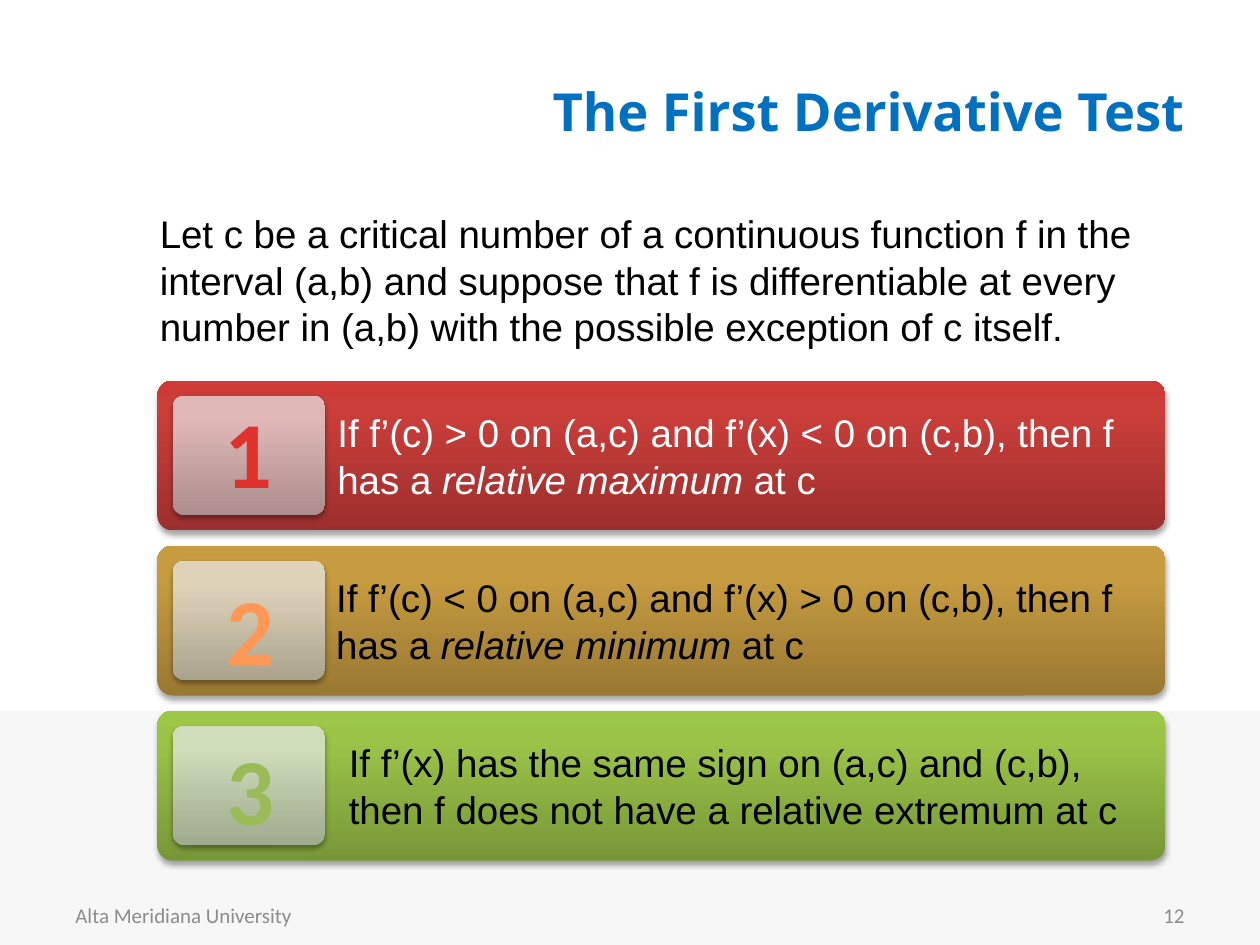
from lxml.etree import SubElement
from pptx import Presentation
from pptx.dml.color import RGBColor
from pptx.enum.shapes import MSO_SHAPE
from pptx.enum.text import MSO_ANCHOR, PP_ALIGN
from pptx.oxml.ns import qn
from pptx.util import Inches, Pt

COLORS = {
    "band": "F7F7F7", "foot": "8C8C8C", "title": "0070C0",
    "black": "000000", "white": "FFFFFF",
    "red": "E0322D", "orange": "FF9856", "green": "9BBB59",
}
# Gradient stops from bottom to top: bar, then badge
FADES = {
    "red": (("9C2F2D", "CB3E3A", "CE3B37"), ("AC8D8D", "E0B7B7", "E1B7B7")),
    "orange": (("997832", "C79C41", "CA9D3F"), ("ABA38E", "DED3B9", "E0D4B9")),
    "green": (("779737", "9BC348", "9DC746"), ("A0AA8F", "CFDDBA", "D0DFBA")),
}
STOPS = (0, 80, 100)
TOP, STEP, HIGH, PAD = 3.02, 1.31, 1.19, 0.12

# Hue, text color, text left, text width, digit left, digit top, text runs
CASES = [
    ("red", "white", 2.58, 6.5, 1.68, 3.08,
     ["If f’(c) > 0 on (a,c) and f’(x) < 0 on (c,b), then f has a ",
      "relative maximum ", "at c"]),
    ("orange", "black", 2.57, 6.5, 1.69, 4.48,
     ["If f’(c) < 0 on (a,c) and f’(x) > 0 on (c,b), then f has a ",
      "relative minimum ", "at c"]),
    ("green", "black", 2.67, 6.58, 1.69, 5.75,
     ["If f’(x) has the same sign on (a,c) and (c,b), "
      "then f does not have a relative extremum at c"]),
]


def add_text(slide, box, runs, size, color, font="Arial", bold=False,
             align=PP_ALIGN.LEFT, anchor=MSO_ANCHOR.TOP, wrap=True):
    """Add one paragraph; every second run is italic."""
    frame = slide.shapes.add_textbox(*map(Inches, box)).text_frame
    frame.word_wrap = wrap
    frame.vertical_anchor = anchor
    para = frame.paragraphs[0]
    para.alignment = align
    for i, words in enumerate(runs):
        run = para.add_run()
        run.text = words
        run.font.name = font
        run.font.size = Pt(size)
        run.font.bold = bold
        run.font.italic = i % 2 == 1
        run.font.color.rgb = RGBColor.from_string(COLORS[color])


def add_band(slide):
    band = slide.shapes.add_shape(
        MSO_SHAPE.RECTANGLE, 0, Inches(5.64), Inches(10), Inches(1.86))
    band.shadow.inherit = False
    band.fill.solid()
    band.fill.fore_color.rgb = RGBColor.from_string(COLORS["band"])
    band.line.fill.background()


def add_panel(slide, box, fade):
    """Add a rounded panel with a three-stop fade and a soft shadow."""
    panel = slide.shapes.add_shape(
        MSO_SHAPE.ROUNDED_RECTANGLE, *map(Inches, box))
    panel.adjustments[0] = 0.1
    panel.line.fill.background()
    panel.fill.gradient()
    panel.fill.gradient_angle = 90
    props = panel.fill._xPr
    stops = props.find(".//" + qn("a:gsLst"))
    for old in list(stops):
        stops.remove(old)
    for pos, color in zip(STOPS, fade):
        stop = SubElement(stops, qn("a:gs"), pos=str(pos * 1000))
        SubElement(stop, qn("a:srgbClr"), val=color)

    panel.shadow.inherit = False
    shade = SubElement(
        props.find(qn("a:effectLst")), qn("a:outerShdw"),
        blurRad=str(Pt(3.1)), dist=str(Pt(1.8)), dir="5400000", rotWithShape="0")
    tint = SubElement(shade, qn("a:srgbClr"), val=COLORS["black"])
    SubElement(tint, qn("a:alpha"), val="35000")


def add_foot(slide, left, words, align):
    add_text(slide, (left, 7.06, 2.33, 0.4), [words], 12, "foot", "Calibri",
             align=align, anchor=MSO_ANCHOR.MIDDLE)


def main():
    deck = Presentation()
    deck.slide_width, deck.slide_height = Inches(10), Inches(7.5)
    slide = deck.slides.add_slide(deck.slide_layouts[6])

    # Backdrop and footer
    add_band(slide)
    add_foot(slide, 0.5, "Alta Meridiana University", PP_ALIGN.LEFT)
    add_foot(slide, 7.17, "12", PP_ALIGN.RIGHT)

    # Title and premise
    add_text(slide, (0.5, 0.25, 9, 1.25), ["The First Derivative Test"], 30,
             "title", "Open Sans", True, PP_ALIGN.RIGHT, MSO_ANCHOR.MIDDLE)
    add_text(slide, (1.17, 1.62, 8.17, 1.21),
             ["Let c be a critical number of a continuous function f in the "
              "interval (a,b) and suppose that f is differentiable at every "
              "number in (a,b) with the possible exception of c itself."],
             22, "black")

    # Three numbered cases
    for i, (hue, ink, left, wide, num_x, num_y, runs) in enumerate(CASES):
        top = TOP + i * STEP
        bar, badge = FADES[hue]
        add_panel(slide, (1.25, top, 8, HIGH), bar)
        add_panel(slide, (1.25 + PAD, top + PAD, 1.21, HIGH - 2 * PAD), badge)
        add_text(slide, (left, top + 0.18, wide, 0.84), runs, 22, ink)
        add_text(slide, (num_x, num_y, 0.59, 1.01), [str(i + 1)], 54, hue,
                 "Calibri", True, PP_ALIGN.CENTER, wrap=False)

    deck.save("out.pptx")


if __name__ == "__main__":
    main()
